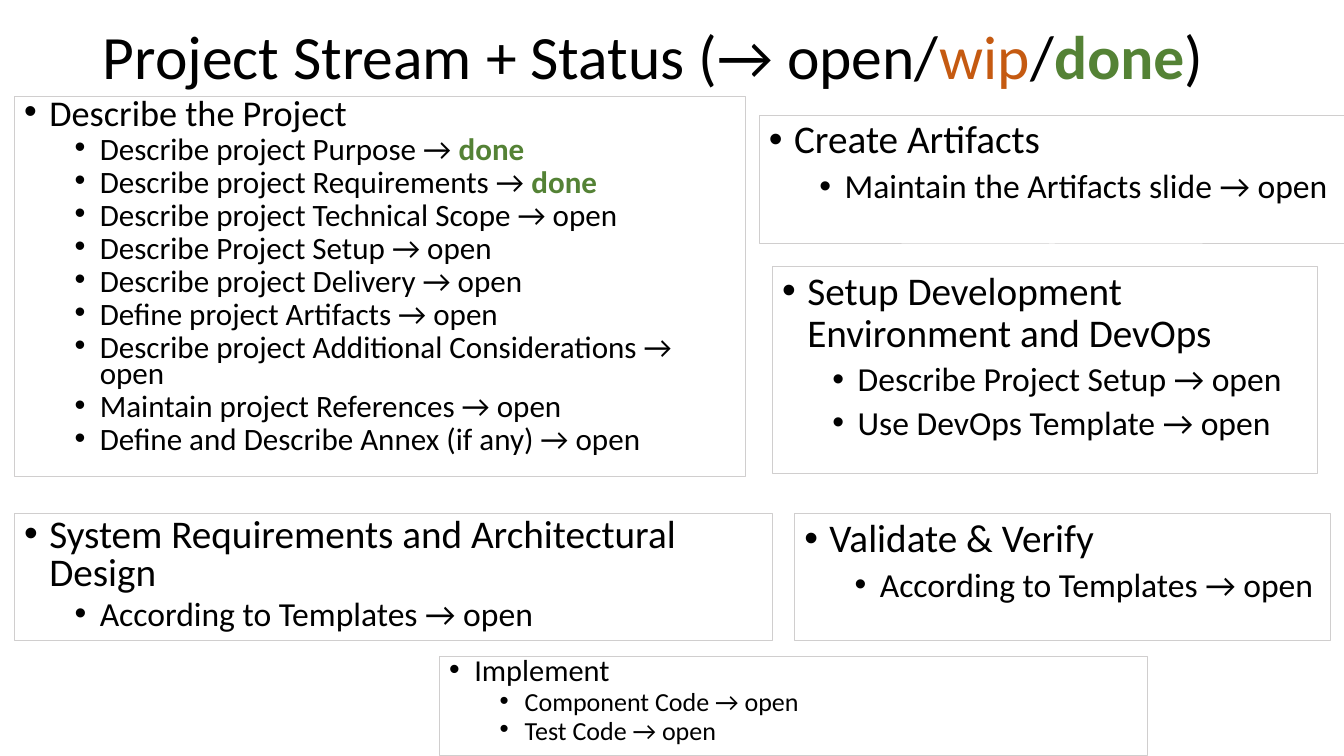
import pptx
import pptx.dml.color
import pptx.enum.shapes
import pptx.enum.text
import pptx.util
from lxml import etree

Cm, Pt = pptx.util.Cm, pptx.util.Pt
RGBColor = pptx.dml.color.RGBColor
ANCHOR = pptx.enum.text.MSO_ANCHOR
BLACK = RGBColor(0x00, 0x00, 0x00)
GREEN = RGBColor(0x54, 0x82, 0x35)
ORANGE = RGBColor(0xC5, 0x5A, 0x11)
GREY = RGBColor(0xD0, 0xCE, 0xCE)
STATUS_COLORS = {"open": BLACK, "wip": ORANGE, "done": GREEN}
DRAWING_NS = "{http://schemas.openxmlformats.org/drawingml/2006/main}"


class StatusSlide:
    """Holds the text style and the slide being built."""

    font = "Calibri"
    title_size = 44
    hanging = Cm(0.635)
    indents = (Cm(0.635), Cm(1.905))
    space_before = (10, 5)

    def __init__(self, deck):
        """Add a blank slide to the deck."""
        self.slide = deck.slides.add_slide(deck.slide_layouts[6])

    def run(self, paragraph, text, size, color=BLACK):
        """Add one run; finished work is bold."""
        run = paragraph.add_run()
        run.text = text
        run.font.name = self.font
        run.font.size = Pt(size)
        run.font.color.rgb = color
        run.font.bold = color == GREEN

    def title(self, pieces, left, top, width, height):
        """Add the title from (text, colour) pieces."""
        box = self.slide.shapes.add_textbox(Cm(left), Cm(top), Cm(width), Cm(height))
        frame = box.text_frame
        frame.word_wrap = True
        frame.vertical_anchor = ANCHOR.MIDDLE
        paragraph = frame.paragraphs[0]
        paragraph.line_spacing = 0.9
        for text, color in pieces:
            self.run(paragraph, text, self.title_size, color)

    def bullet(self, paragraph, level, spacing):
        """Give a paragraph its level, spacing, indent and bullet."""
        paragraph.level = level
        paragraph.alignment = pptx.enum.text.PP_ALIGN.LEFT
        paragraph.line_spacing = spacing
        paragraph.space_before = Pt(self.space_before[level])
        properties = paragraph._p.get_or_add_pPr()
        properties.set("marL", str(self.indents[level]))
        properties.set("indent", str(-self.hanging))
        etree.SubElement(properties, DRAWING_NS + "buFont", typeface="Arial")
        etree.SubElement(properties, DRAWING_NS + "buChar", char="•")

    def stream(self, heading, tasks, place, sizes=(28, 24), spacing=0.9):
        """Add an outlined work stream with its (task, status) list."""
        box = self.slide.shapes.add_shape(
            pptx.enum.shapes.MSO_SHAPE.RECTANGLE, *map(Cm, place))
        box.shadow.inherit = False
        box.fill.background()
        box.line.color.rgb = GREY
        box.line.width = Pt(0.75)
        frame = box.text_frame
        frame.word_wrap = True
        frame.vertical_anchor = ANCHOR.TOP
        heading_line = frame.paragraphs[0]
        self.bullet(heading_line, 0, spacing)
        self.run(heading_line, heading, sizes[0])
        for task, status in tasks:
            task_line = frame.add_paragraph()
            self.bullet(task_line, 1, spacing)
            if status == "open":
                self.run(task_line, f"{task} → {status}", sizes[1])
            else:
                self.run(task_line, f"{task} → ", sizes[1])
                self.run(task_line, status, sizes[1], STATUS_COLORS[status])


def open_tasks(*tasks):
    """Pair every task with the status open."""
    return [(task, "open") for task in tasks]


deck = pptx.Presentation()
deck.slide_width, deck.slide_height = Cm(33.87), Cm(19.05)
board = StatusSlide(deck)

board.title([("Project Stream + Status (→ open/", BLACK), ("wip", ORANGE),
             ("/", BLACK), ("done", GREEN), (")", BLACK)],
            2.34, 0.1, 29.21, 2.79)

left_edge, lower_row, lower_height = 0.36, 12.95, 3.2
description_tasks = [
    ("Describe project Purpose", "done"),
    ("Describe project Requirements", "done"),
] + open_tasks(
    "Describe project Technical Scope",
    "Describe Project Setup",
    "Describe project Delivery",
    "Define project Artifacts",
    "Describe project Additional Considerations",
    "Maintain project References",
    "Define and Describe Annex (if any)",
)
template_tasks = open_tasks("According to Templates")

board.stream("Describe the Project", description_tasks,
             (left_edge, 2.44, 18.42, 9.58), (25.9, 22.2), 0.7)
board.stream("Create Artifacts", open_tasks("Maintain the Artifacts slide"),
             (19.13, 2.9, 14.76, 3.25))
board.stream("Setup Development Environment and DevOps",
             open_tasks("Describe Project Setup", "Use DevOps Template"),
             (19.46, 6.71, 13.74, 5.23))
board.stream("System Requirements and Architectural Design", template_tasks,
             (left_edge, lower_row, 19.1, lower_height), spacing=0.8)
board.stream("Validate & Verify", template_tasks,
             (20.02, lower_row, 13.51, lower_height))
board.stream("Implement", open_tasks("Component Code", "Test Code"),
             (11.07, 16.54, 17.86, 2.51), (21.7, 18.6), 0.7)

deck.save("out.pptx")
